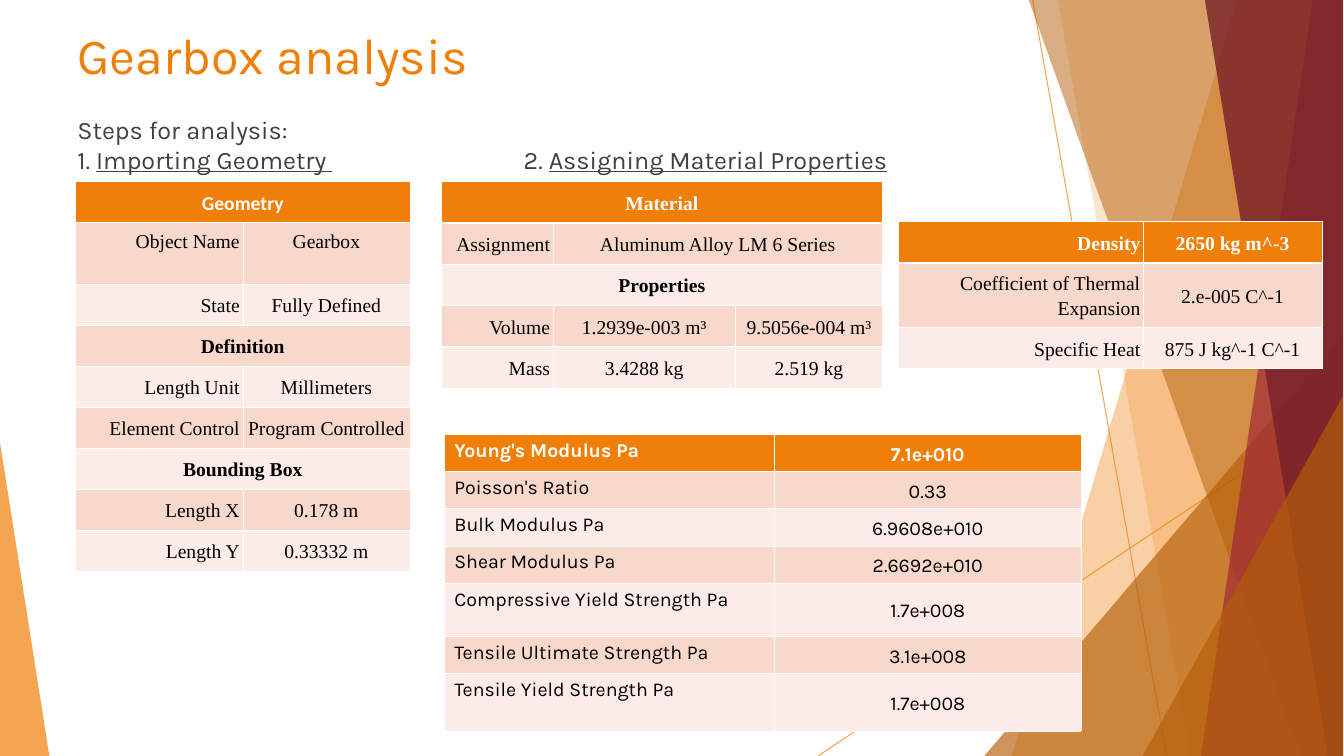
from pptx import Presentation
from pptx.dml.color import RGBColor
from pptx.enum.shapes import MSO_CONNECTOR, MSO_SHAPE
from pptx.enum.text import MSO_ANCHOR, PP_ALIGN
from pptx.oxml.ns import qn
from pptx.util import Inches, Pt
from lxml.etree import SubElement

STRAIGHT, TRIANGLE = MSO_CONNECTOR.STRAIGHT, MSO_SHAPE.ISOSCELES_TRIANGLE
TOP, MIDDLE = MSO_ANCHOR.TOP, MSO_ANCHOR.MIDDLE
LEFT, CENTER, RIGHT = PP_ALIGN.LEFT, PP_ALIGN.CENTER, PP_ALIGN.RIGHT
WIDTH, HEIGHT = 13.34, 7.5
EDGE = 13.33
ORANGE, BROWN, WHITE, BLACK, GREY = "F07F09", "B45F07", "FFFFFF", "000000", "404040"
BANDS = ("FCECE7", "F9D8CC")
SERIF = "Times New Roman"

RAYS = [(10.25, 0, 11.58, HEIGHT), (EDGE, 4.03, 8.12, HEIGHT)]
FACETS = [
    ("band", (12.28, 10.04), ORANGE, 36),
    ("band", (10.5, 11.82), ORANGE, 20),
    ("corner", (9.77, 3.33, EDGE, 1), BROWN, 66),
    ("band", (10.21, 12.91), BROWN, 50),
    ("band", (13.03, 11.92), "9F2936", 70),
    ("band", (11.96, 13.18), "771F28", 80),
    ("corner", (11.34, 3.93, EDGE, 1), BROWN, 66),
    ("corner", (0, 4.39, 0.49, 0), ORANGE, 70),
]
HEADING = [
    ([("Gearbox analysis", False)], {"size": 36, "color": ORANGE}, 0),
    ([("Steps for analysis:", False)], {"size": 18, "color": GREY}, 21),
    ([("1. ", False), ("Importing Geometry ", True), ("\t2. ", False),
      ("Assigning Material Properties", True)], {"size": 18, "color": GREY}, 0),
]
TABLES = [
    {"at": (0.75, 1.8), "columns": (1.66, 1.66), "row": 0.407, "tall": {1: 0.61},
     "font": SERIF, "header": "Calibri", "label": RIGHT, "top_rows": (1,),
     "rows": [("Geometry", None), ("Object Name", "Gearbox"), ("State", "Fully Defined"),
              ("Definition", None), ("Length Unit", "Millimeters"),
              ("Element Control", "Program Controlled"), ("Bounding Box", None),
              ("Length X", "0.178 m"), ("Length Y", "0.33332 m")]},
    {"at": (4.38, 1.8), "columns": (1.11, 1.81, 1.46), "row": 0.41, "tall": {},
     "font": SERIF, "header": SERIF, "label": RIGHT, "top_rows": (),
     "rows": [("Material", None, None), ("Assignment", "Aluminum Alloy LM 6 Series", None),
              ("Properties", None, None), ("Volume", "1.2939e-003 m³", "9.5056e-004 m³"),
              ("Mass", "3.4288 kg", "2.519 kg")]},
    {"at": (8.92, 2.2), "columns": (2.43, 1.77), "row": 0.41, "tall": {1: 0.59},
     "font": SERIF, "header": SERIF, "label": RIGHT, "top_rows": (),
     "rows": [("Density", "2650 kg m^-3"),
              ("Coefficient of Thermal Expansion", "2.e-005 C^-1"),
              ("Specific Heat", "875 J kg^-1 C^-1")]},
    {"at": (4.41, 4.31), "columns": (3.28, 3.04), "row": 0.36, "tall": {4: 0.53, 6: 0.57},
     "font": "Karla", "header": "Karla", "label": LEFT, "top_rows": (),
     "rows": [("Young's Modulus Pa", "7.1e+010"), ("Poisson's Ratio", "0.33"),
              ("Bulk Modulus Pa", "6.9608e+010"), ("Shear Modulus Pa", "2.6692e+010"),
              ("Compressive Yield Strength Pa", "1.7e+008"),
              ("Tensile Ultimate Strength Pa", "3.1e+008"),
              ("Tensile Yield Strength Pa", "1.7e+008")]},
]


def rgb(value):
    return RGBColor.from_string(value)


def set_all(target, values):
    for name, value in values.items():
        setattr(target, name, value)


def write(para, text, size, color, **values):
    span = para.add_run()
    span.text = text
    span.font.color.rgb = rgb(color)
    set_all(span.font, {"size": Pt(size), **values})


def set_opacity(shape, percent):
    for color in shape.element.spPr.iter(qn("a:srgbClr")):
        SubElement(color, qn("a:alpha"), val=str(percent * 1000))


def add_ray(page, ends):
    ray = page.shapes.add_connector(STRAIGHT, *map(Inches, ends))
    ray.line.color.rgb = rgb(ORANGE)
    ray.line.width = Pt(0.75)
    set_opacity(ray, 70)
    SubElement(ray.element.spPr, qn("a:effectLst"))


def add_facet(page, kind, place, color, percent):
    if kind == "band":
        top, bottom = place
        points = [(Inches(x), Inches(y)) for x, y in
                  ((top, 0), (EDGE, 0), (EDGE, HEIGHT), (bottom, HEIGHT))]
        builder = page.shapes.build_freeform(*points[0])
        builder.add_line_segments(points[1:], close=True)
        facet = builder.convert_to_shape()
    else:
        left, top, right, apex = place
        facet = page.shapes.add_shape(
            TRIANGLE, *map(Inches, (left, top, right - left, HEIGHT - top)))
        facet.adjustments[0] = apex
    facet.shadow.inherit = False
    facet.fill.solid()
    facet.fill.fore_color.rgb = rgb(color)
    facet.line.fill.background()
    set_opacity(facet, percent)


def add_heading(page):
    box = page.shapes.add_textbox(*map(Inches, (0.67, 0.19, 9.4, 1.6)))
    box.text_frame.word_wrap = True
    for index, (spans, style, before) in enumerate(HEADING):
        para = box.text_frame.paragraphs[0] if index == 0 else box.text_frame.add_paragraph()
        para.space_before = Pt(before)
        if len(spans) > 1:
            stops = SubElement(para._p.get_or_add_pPr(), qn("a:tabLst"))
            SubElement(stops, qn("a:tab"), pos=str(Inches(4.43)), algn="l")
        for text, underline in spans:
            write(para, text, name="Karla", underline=underline, **style)


def paint_cell(cell, row):
    edges = {"L": 0.45, "R": 0.45, "T": 1.47 if row == 1 else 0.45,
             "B": 1.47 if row == 0 else 0.45}
    for side, width in edges.items():
        line = SubElement(cell._tc.get_or_add_tcPr(), qn(f"a:ln{side}"), w=str(Pt(width)))
        SubElement(SubElement(line, qn("a:solidFill")), qn("a:srgbClr"), val=WHITE)
    cell.fill.solid()
    cell.fill.fore_color.rgb = rgb(BANDS[row % 2] if row else ORANGE)


def add_grid(page, plan):
    rows, columns = plan["rows"], plan["columns"]
    heights = [plan["tall"].get(index, plan["row"]) for index in range(len(rows))]
    size = (sum(columns), sum(heights))
    grid = page.shapes.add_table(
        len(rows), len(columns), *map(Inches, plan["at"] + size)).table
    set_all(grid, {"first_row": False, "horz_banding": False})
    for column, width in zip(grid.columns, columns):
        column.width = Inches(width)
    for row, texts in enumerate(rows):
        grid.rows[row].height = Inches(heights[row])
        banner = not any(texts[1:])
        for column, text in enumerate(texts):
            cell = grid.cell(row, column)
            paint_cell(cell, row)
            if text is None:
                continue
            last = column
            while last + 1 < len(texts) and texts[last + 1] is None:
                last += 1
            if last > column:
                cell.merge(grid.cell(row, last))
            label = column == 0 and not banner
            plain = label and plan["label"] == LEFT
            side = Inches(0.1 if plain else 0.03)
            set_all(cell, {
                "margin_left": side, "margin_right": side,
                "margin_top": Inches(0.05), "margin_bottom": Inches(0.05),
                "vertical_anchor": TOP if plain or row in plan["top_rows"] else MIDDLE})
            para = cell.text_frame.paragraphs[0]
            set_all(para, {"alignment": plan["label"] if label else CENTER,
                           "line_spacing": 1.0 if plain else 1.15})
            write(para, text, 14, BLACK if row else WHITE, bold=banner or row == 0,
                  name=plan["font"] if row else plan["header"])


def main():
    """Build the gearbox analysis slide."""
    deck = Presentation()
    set_all(deck, {"slide_width": Inches(WIDTH), "slide_height": Inches(HEIGHT)})
    page = deck.slides.add_slide(deck.slide_layouts[6])
    for ends in RAYS:
        add_ray(page, ends)
    for facet in FACETS:
        add_facet(page, *facet)
    add_heading(page)
    for plan in TABLES:
        add_grid(page, plan)
    deck.save("out.pptx")


if __name__ == "__main__":
    main()
